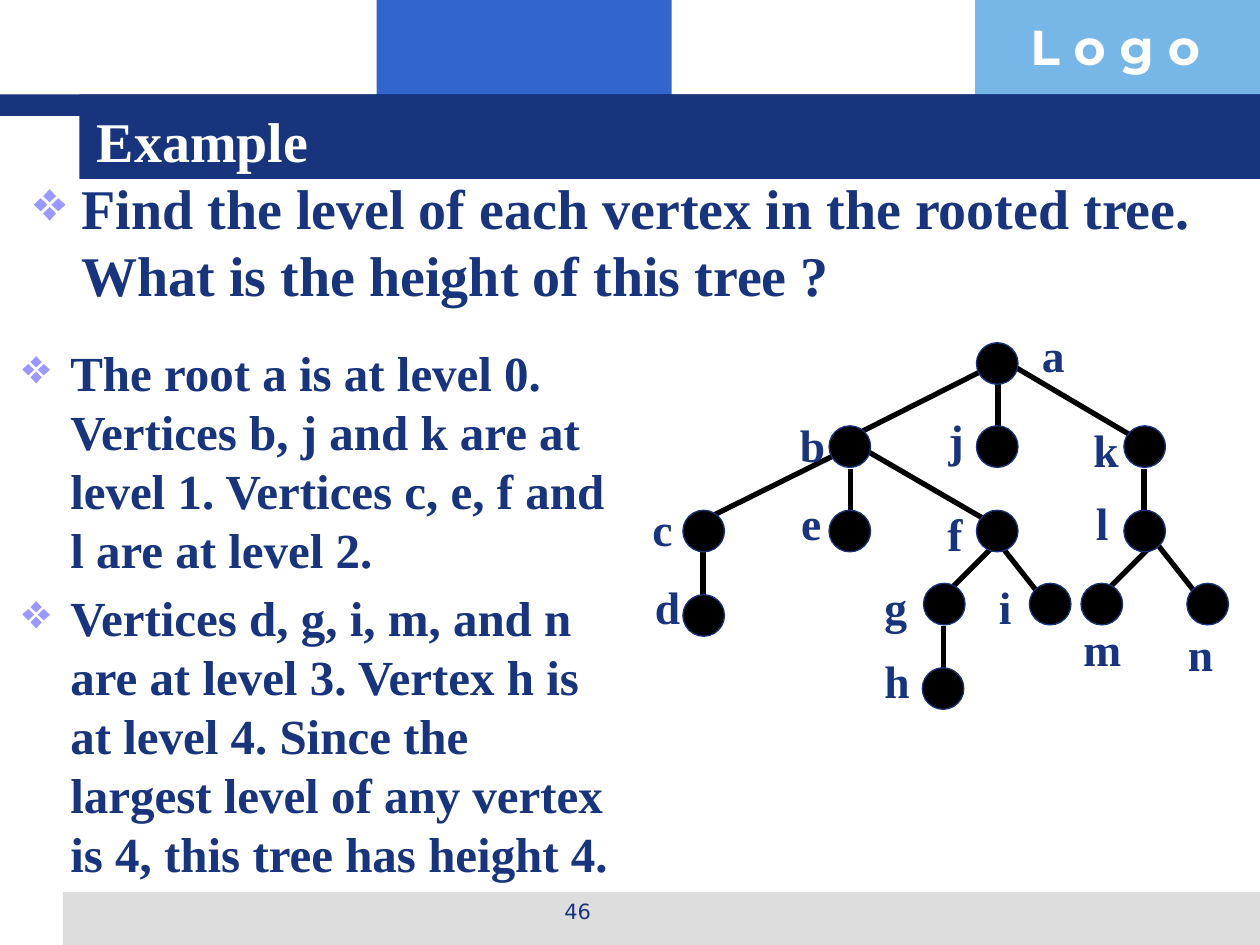
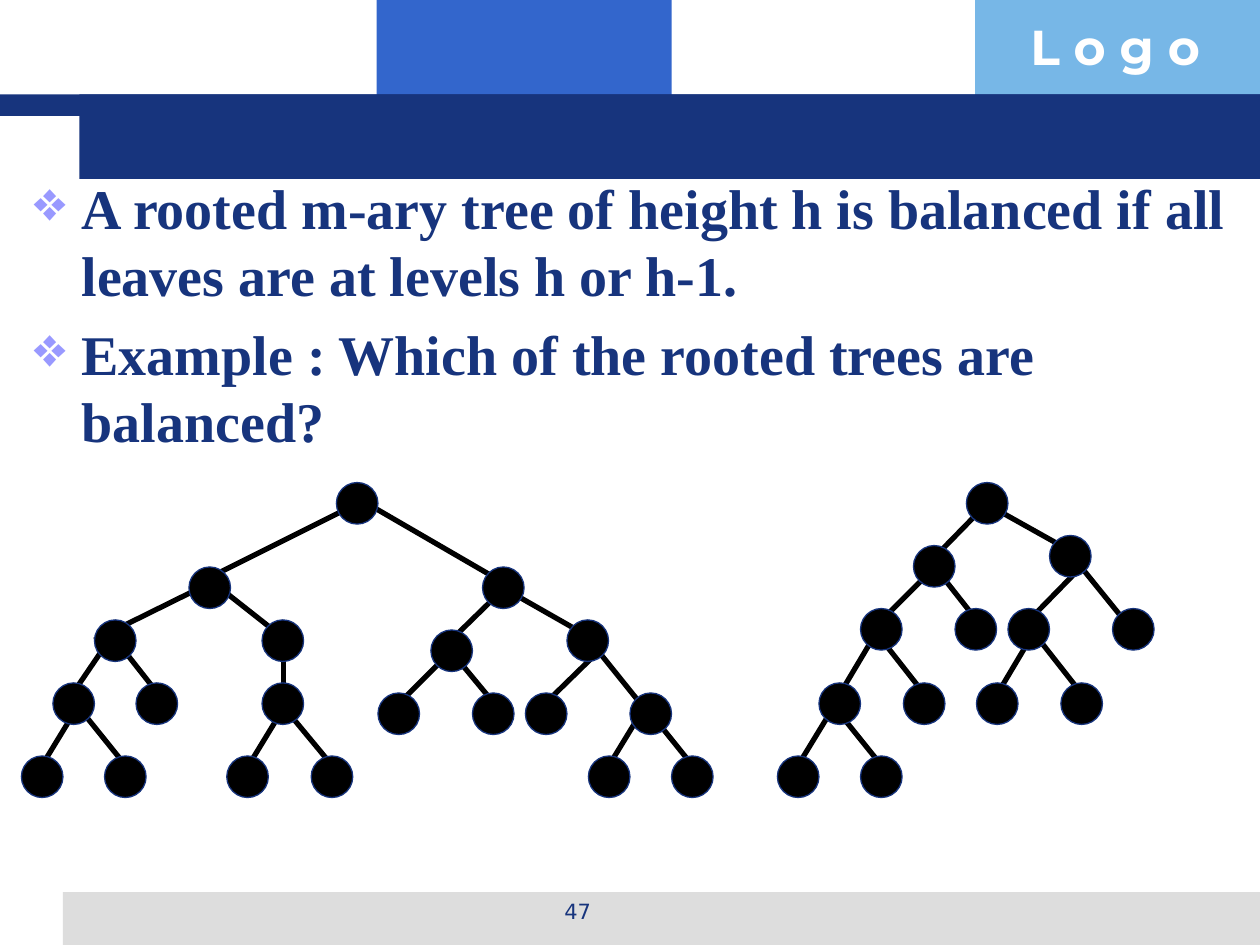
from lxml import etree
from pptx import Presentation
from pptx import util as u
from pptx.dml.color import RGBColor
from pptx.enum import shapes, text
from pptx.oxml.ns import qn

COLORS = {"navy": "17347D", "blue": "3366CC", "sky": "77B7E7", "grey": "DDDDDD",
          "white": "FFFFFF", "black": "000000", "lilac": "9999FF"}
SERIF = "Times New Roman"
NODE = 0.33

deck = Presentation()
deck.slide_width, deck.slide_height = u.Inches(10), u.Inches(7.5)


def write(page, at, *paragraphs, size=26, font=SERIF, color="navy", bold=True,
          align=None, anchor=text.MSO_ANCHOR.TOP, wrap=True, bullet=None):
    box = page.shapes.add_textbox(*map(u.Inches, at))
    frame = box.text_frame
    frame.word_wrap = wrap
    frame.vertical_anchor = anchor
    for i, words in enumerate(paragraphs):
        para = frame.add_paragraph() if i else frame.paragraphs[0]
        if bullet:
            props = para._p.get_or_add_pPr()
            props.set("marL", str(u.Inches(0.38)))
            props.set("indent", str(-u.Inches(0.38)))
            tint = etree.SubElement(props, qn("a:buClr"))
            etree.SubElement(tint, qn("a:srgbClr"), val=COLORS["lilac"])
            etree.SubElement(props, qn("a:buChar"), char=bullet)
        if i:
            para.space_before = u.Pt(0.2 * size)
        if align is not None:
            para.alignment = align
        span = para.add_run()
        span.text = words
        span.font.name, span.font.size, span.font.bold = font, u.Pt(size), bold
        span.font.color.rgb = RGBColor.from_string(COLORS[color])


def draw_tree(page, edges, rows):
    """Draw edges (x1, y1, x2, y2), then nodes given as {top: [lefts]}."""
    for edge in edges:
        line = page.shapes.add_connector(shapes.MSO_CONNECTOR.STRAIGHT,
                                         *map(u.Inches, edge))
        line.line.color.rgb = RGBColor.from_string(COLORS["black"])
        line.line.width = u.Pt(3)
        etree.SubElement(line._element.spPr, qn("a:effectLst"))
    for top, lefts in rows.items():
        for left in lefts:
            node = page.shapes.add_shape(shapes.MSO_SHAPE.OVAL,
                                         *map(u.Inches, (left, top, NODE, NODE)))
            node.shadow.inherit = False
            node.fill.solid()
            node.fill.fore_color.rgb = RGBColor.from_string(COLORS["black"])
            node.line.color.rgb = RGBColor.from_string(COLORS["navy"])
            node.line.width = u.Pt(0.75)


# Shared bands, header word and page number
bands = [("blue", (2.99, 0, 2.34, 0.92)), ("sky", (7.74, 0, 2.26, 0.92)),
         ("grey", (0.5, 7.08, 9.5, 0.42)), ("navy", (0, 0.75, 10, 0.17)),
         ("navy", (0.63, 0.75, 9.37, 0.67))]
pages = []
for number in ("46", "47"):
    page = deck.slides.add_slide(deck.slide_layouts[6])
    for color, at in bands:
        band = page.shapes.add_shape(shapes.MSO_SHAPE.RECTANGLE, *map(u.Inches, at))
        band.shadow.inherit = False
        band.fill.solid()
        band.fill.fore_color.rgb = RGBColor.from_string(COLORS[color])
        band.line.fill.background()
    write(page, (8.08, 0.08, 1.93, 0.57), "L o g o", size=28, font="Montserrat",
          color="white")
    write(page, (3.42, 7.08, 2.33, 0.35), number, size=12, font="DejaVu Sans",
          bold=False, align=text.PP_ALIGN.CENTER)
    pages.append(page)
levels_page, balance_page = pages

# Levels and height of a rooted tree
write(levels_page, (0.67, 0.8, 9, 0.62), "Example", size=32, color="white",
      anchor=text.MSO_ANCHOR.MIDDLE)
write(levels_page, (0.17, 1.33, 9.83, 1.17),
      "Find the level of each vertex in the rooted tree. What is the height of this tree ?",
      size=32, bullet="❖")
level_edges = [
    (7.92, 2.88, 6.75, 3.47), (8, 2.88, 9, 3.47), (7.92, 3.05, 7.92, 3.63),
    (6.75, 3.55, 5.58, 4.13), (6.83, 3.55, 7.83, 4.13), (6.75, 3.72, 6.75, 4.3),
    (5.58, 4.38, 5.58, 4.97), (7.92, 4.3, 7.5, 4.72), (7.92, 4.3, 8.25, 4.72),
    (7.49, 4.97, 7.49, 5.55), (9.08, 3.72, 9.08, 4.3), (9.17, 4.3, 8.75, 4.72),
    (9.17, 4.3, 9.5, 4.72)]
level_nodes = {2.72: [7.75], 3.38: [6.58, 7.75, 8.92], 4.05: [5.42, 6.58, 7.75, 8.92],
               4.63: [7.33, 8.17, 8.58, 9.42], 4.72: [5.42], 5.3: [7.32]}
draw_tree(levels_page, level_edges, level_nodes)
vertex_labels = {
    "a": (8.17, 2.55), "b": (6.25, 3.26), "k": (8.58, 3.3), "j": (7.43, 3.22),
    "c": (5.08, 3.93), "f": (7.42, 3.97), "e": (6.26, 3.88), "d": (5.1, 4.55),
    "g": (6.92, 4.55), "i": (7.83, 4.55), "h": (6.92, 5.13), "l": (8.6, 3.88),
    "m": (8.5, 4.88), "n": (9.33, 4.92)}
label_widths = {"a": 0.38, "g": 0.38, "c": 0.36, "e": 0.36, "j": 0.32, "f": 0.32,
                "i": 0.3, "l": 0.3, "m": 0.51}
for vertex, (left, top) in vertex_labels.items():
    write(levels_page, (left, top, label_widths.get(vertex, 0.4), 0.53), vertex,
          wrap=False)
write(levels_page, (0.08, 2.67, 4.92, 4.42),
      "The root a is at level 0. Vertices b, j and k are at level 1. "
      "Vertices c, e, f and l are at level 2.",
      "Vertices d, g, i, m, and n are at level 3. Vertex h is at level 4. "
      "Since the largest level of any vertex is 4, this tree has height 4.",
      size=28, bullet="❖")

# Balanced trees
write(balance_page, (0.17, 1.33, 9.83, 5.95),
      "A rooted m-ary tree of height h is balanced if all leaves are at levels h or h-1.",
      "Example : Which of the rooted trees are balanced?", size=32, bullet="❖")
left_edges = [
    (2.83, 4, 1.67, 4.58), (2.92, 4, 3.92, 4.58),
    (1.58, 4.67, 0.75, 5.08), (1.75, 4.67, 2.17, 5),
    (4, 4.67, 3.58, 5.08), (4, 4.67, 4.58, 5),
    (0.92, 5, 0.58, 5.5), (0.92, 5.08, 1.25, 5.5), (2.25, 5.08, 2.25, 5.67),
    (3.58, 5.17, 3.17, 5.58), (3.58, 5.17, 3.92, 5.58),
    (4.75, 5.17, 4.33, 5.58), (4.75, 5.17, 5.08, 5.58),
    (0.58, 5.67, 0.33, 6.08), (0.67, 5.67, 1, 6.08),
    (2.22, 5.67, 1.97, 6.08), (2.3, 5.67, 2.64, 6.08),
    (5.08, 5.67, 4.83, 6.08), (5.17, 5.67, 5.5, 6.08)]
left_nodes = {3.83: [2.67], 4.5: [1.5, 3.83], 4.92: [0.75, 2.08, 4.5], 5: [3.42],
              5.42: [0.42, 1.08, 2.08], 5.5: [3, 3.75, 4.17, 5],
              6: [0.17, 0.83, 1.8, 2.47, 4.67, 5.33]}
right_edges = [
    (7.83, 4, 7.42, 4.42), (7.83, 4, 8.42, 4.33),
    (7.42, 4.5, 7, 4.92), (7.42, 4.5, 7.75, 4.92),
    (8.58, 4.5, 8.17, 4.92), (8.58, 4.5, 8.92, 4.92),
    (6.92, 5.08, 6.67, 5.5), (7, 5.08, 7.33, 5.5),
    (8.17, 5.08, 7.92, 5.5), (8.25, 5.08, 8.58, 5.5),
    (6.58, 5.67, 6.33, 6.08), (6.67, 5.67, 7, 6.08)]
right_nodes = {3.83: [7.67], 4.25: [8.33], 4.33: [7.25], 4.83: [6.83, 7.58, 8, 8.83],
               5.42: [6.5, 7.17, 7.75, 8.42], 6: [6.17, 6.83]}
draw_tree(balance_page, left_edges, left_nodes)
draw_tree(balance_page, right_edges, right_nodes)

deck.save("out.pptx")
